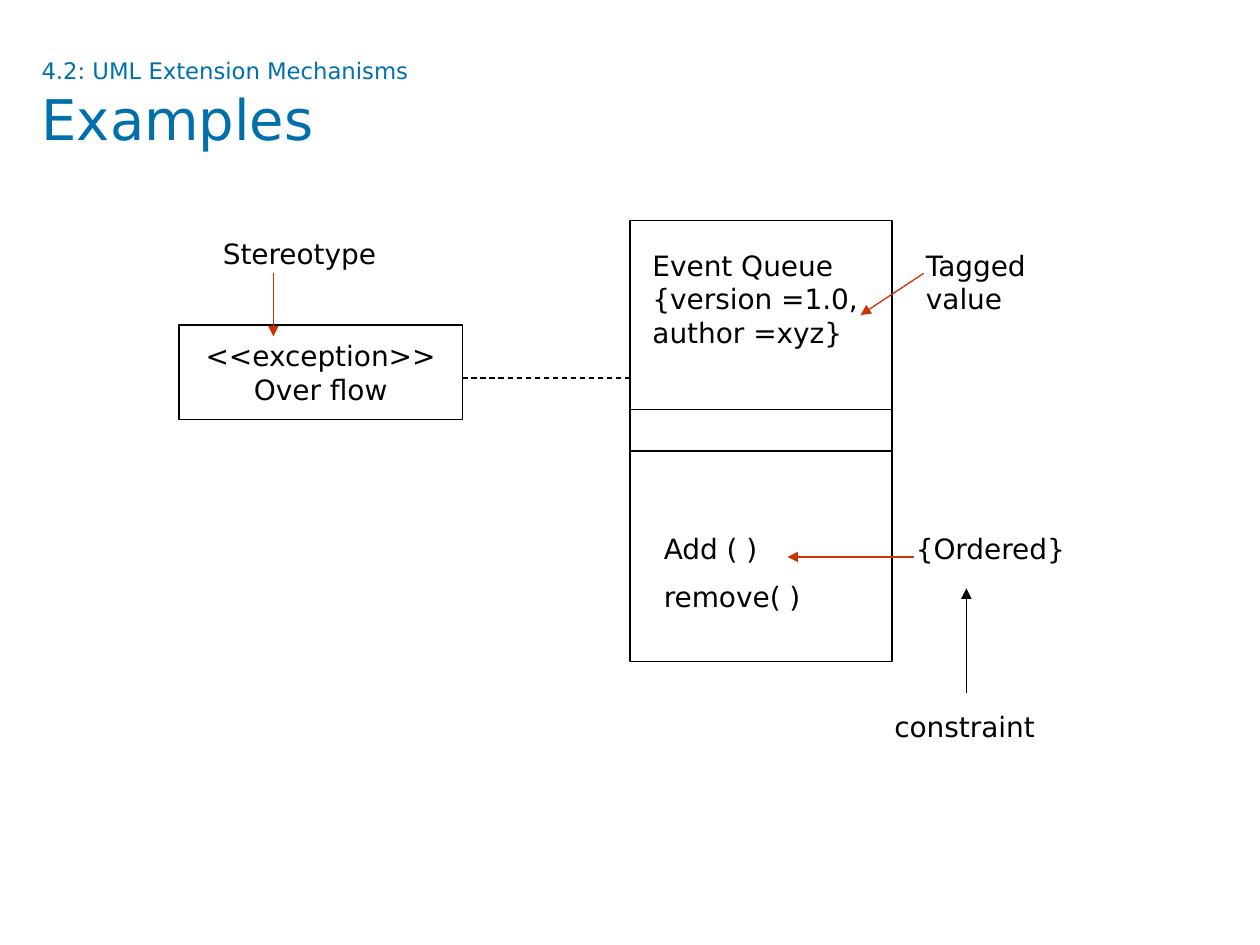
import pptx
import pptx.dml.color
import pptx.enum.dml
import pptx.enum.shapes
import pptx.enum.text
import pptx.oxml.ns
import pptx.util
from pptx.util import Inches

COLORS = {"ink": "000000", "title": "0070AD", "callout": "CC3300"}
ALIGN = pptx.enum.text.PP_ALIGN
ANCHOR = pptx.enum.text.MSO_ANCHOR


def rgb(name):
    return pptx.dml.color.RGBColor.from_string(COLORS[name])


class Diagram:
    font_name = "DejaVu Sans"
    text_size = 16
    line_width = 0.75

    def __init__(self, slide):
        self.slide = slide

    def style_font(self, font, size, color):
        font.name = self.font_name
        font.size = pptx.util.Pt(size)
        font.color.rgb = rgb(color)

    def style_line(self, line, color="ink"):
        line.color.rgb = rgb(color)
        line.width = pptx.util.Pt(self.line_width)

    def set_lines(self, frame, lines, align=ALIGN.LEFT, gap=0):
        frame.text = "\n".join(lines)
        for paragraph in frame.paragraphs:
            paragraph.alignment = align
            paragraph.space_after = pptx.util.Pt(gap)
            self.style_font(paragraph.font, self.text_size, "ink")

    def title(self, section, heading):
        title = self.slide.shapes.title
        title.left, title.top = Inches(0.33), Inches(0.45)
        title.width, title.height = Inches(9.33), Inches(0.94)
        frame = title.text_frame
        frame.margin_left = frame.margin_right = 0
        frame.margin_top = frame.margin_bottom = 0
        frame.vertical_anchor = ANCHOR.TOP
        frame.auto_size = pptx.enum.text.MSO_AUTO_SIZE.NONE
        frame.text = f"{section}\v{heading}"
        paragraph = frame.paragraphs[0]
        paragraph.alignment = ALIGN.LEFT
        for run, size in zip(paragraph.runs, (13, 32)):
            self.style_font(run.font, size, "title")

    def box(self, left, top, width, height, lines=()):
        box = self.slide.shapes.add_shape(
            pptx.enum.shapes.MSO_SHAPE.RECTANGLE,
            Inches(left), Inches(top), Inches(width), Inches(height))
        box.shadow.inherit = False
        box.fill.background()
        self.style_line(box.line)
        if lines:
            box.text_frame.word_wrap = False
            box.text_frame.vertical_anchor = ANCHOR.MIDDLE
            self.set_lines(box.text_frame, lines, ALIGN.CENTER)

    def label(self, left, top, width, height, *lines, gap=0):
        label = self.slide.shapes.add_textbox(
            Inches(left), Inches(top), Inches(width), Inches(height))
        label.text_frame.word_wrap = True
        self.set_lines(label.text_frame, lines, gap=gap)

    def line(self, start, end, color="ink", dashed=False, arrow=False):
        connector = self.slide.shapes.add_connector(
            pptx.enum.shapes.MSO_CONNECTOR.STRAIGHT,
            *(Inches(value) for value in (*start, *end)))
        self.style_line(connector.line, color)
        if dashed:
            connector.line.dash_style = pptx.enum.dml.MSO_LINE.DASH
        qn = pptx.oxml.ns.qn
        properties = connector.element.spPr
        if arrow:
            outline = properties.find(qn("a:ln"))
            outline.append(
                outline.makeelement(qn("a:tailEnd"), {"type": "triangle"}))
        properties.append(properties.makeelement(qn("a:effectLst"), {}))


def main():
    presentation = pptx.Presentation()
    presentation.slide_width = Inches(10)
    presentation.slide_height = Inches(7.5)
    title_only = presentation.slide_layouts[5]
    diagram = Diagram(presentation.slides.add_slide(title_only))

    diagram.title("4.2: UML Extension Mechanisms ", "Examples")

    # Exception class
    diagram.box(1.42, 2.58, 2.25, 0.75, ["<<exception>>", "Over flow"])

    # Event queue class with its three compartments
    queue_left, queue_width = 5, 2.08
    queue_right = queue_left + queue_width
    diagram.box(queue_left, 1.75, queue_width, 3.5)
    for divider in (3.25, 3.58):
        diagram.line((queue_left, divider), (queue_right, divider))
    diagram.label(5.08, 1.92, 1.92, 0.95,
                  "Event Queue", "{version =1.0,", "author =xyz}")
    diagram.label(5.17, 4.17, 1.83, 0.77, "Add ( )", "remove( )", gap=8)

    # Dependency between the classes
    diagram.line((3.67, 3), (queue_left, 3), dashed=True)

    # Names of the extension mechanisms
    for left, top, width, mechanism in (
            (1.67, 1.83, 1.58, "Stereotype"),
            (7.25, 1.92, 1.58, "Tagged value"),
            (7.17, 4.17, 1.67, "{Ordered}"),
            (7, 5.58, 1.83, "constraint")):
        diagram.label(left, top, width, 0.37, mechanism)

    # Arrows from each name to its example
    for start, end, color in (
            ((2.17, 2.17), (2.17, 2.67), "callout"),
            ((7.33, 2.17), (6.83, 2.5), "callout"),
            ((7.25, 4.42), (6.25, 4.42), "callout"),
            ((7.67, 5.5), (7.67, 4.67), "ink")):
        diagram.line(start, end, color, arrow=True)

    presentation.save("out.pptx")


if __name__ == "__main__":
    main()
